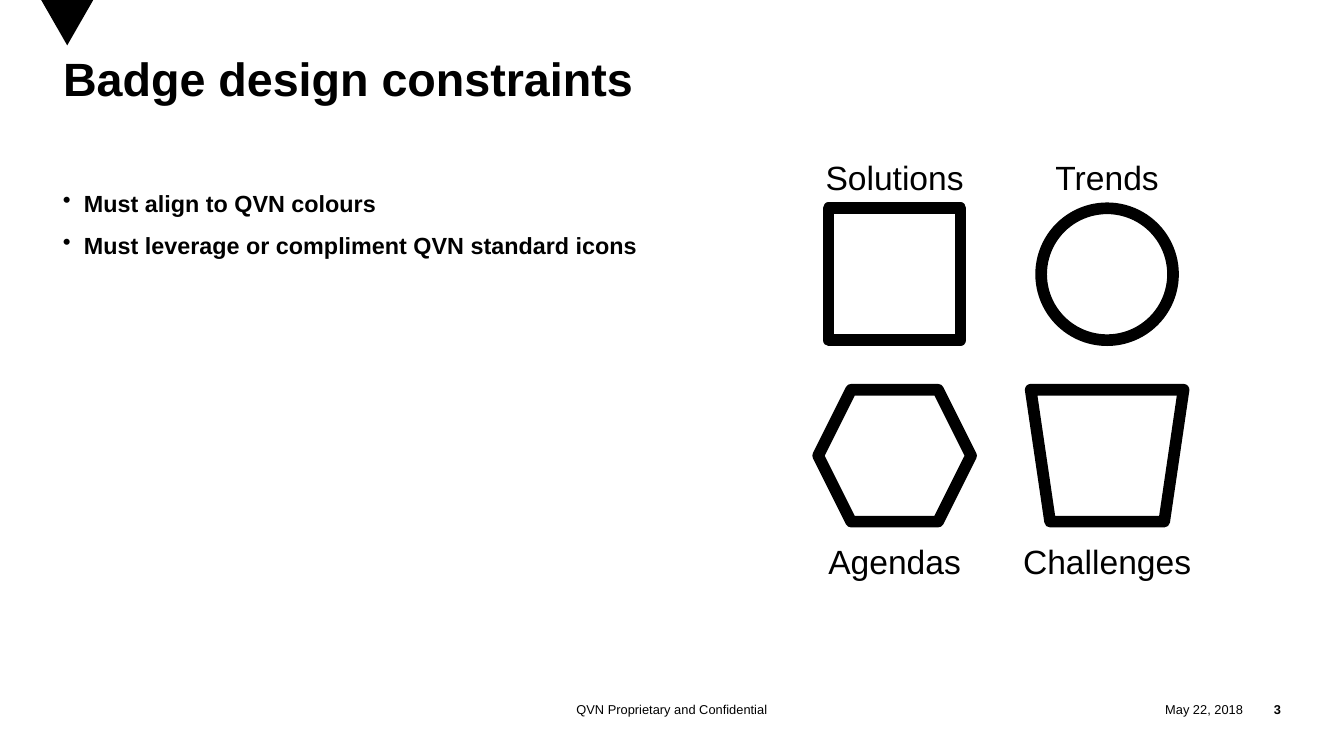
"""Build the badge design constraints slide."""
from lxml.etree import SubElement
from pptx import Presentation
from pptx.dml.color import RGBColor
from pptx.enum.shapes import MSO_SHAPE as Shape
from pptx.enum.text import MSO_ANCHOR as Anchor, MSO_AUTO_SIZE as AutoSize, PP_ALIGN as Align
from pptx.oxml.ns import qn
from pptx.util import Inches, Pt

COLORS = {"ink": "000000", "paper": "FFFFFF"}
FONT = "Arial"
TITLE = "Badge design constraints"
CONSTRAINTS = ["Must align to QVN colours", "Must leverage or compliment QVN standard icons"]
FOOTERS = [
    ("May 22, 2018", 13.01, 1.79, Align.RIGHT, False),
    ("3", 14.8, 0.45, Align.RIGHT, True),
    ("QVN Proprietary and Confidential", 5.25, 5.5, Align.CENTER, False),
]
BADGES = [
    ("Solutions", Shape.RECTANGLE, 1.57, 0, 0),
    ("Trends", Shape.OVAL, 1.57, 1, 0),
    ("Agendas", Shape.HEXAGON, 1.82, 0, 1),
    ("Challenges", Shape.TRAPEZOID, 1.82, 1, 1),
]
COLUMN_CENTERS = [10.65, 13.18]
BADGE_TOPS = [2.48, 4.64]
LABEL_TOPS = [1.82, 6.39]
BADGE_HEIGHT, LABEL_WIDTH, LABEL_HEIGHT = 1.57, 2.22, 0.59
MARKER = [(0.49, 0), (0.8, 0.54), (1.11, 0)]


def color(name):
    return RGBColor.from_string(COLORS[name])


def place(item, left, top, width, height):
    item.left, item.top, item.width, item.height = map(Inches, (left, top, width, height))


def write(box, lines, size, bold=False, align=Align.LEFT, anchor=Anchor.TOP,
          inset=0, wrap=True, spacing=None, before=0, bullet=False):
    frame = box.text_frame
    frame.auto_size = AutoSize.NONE
    frame.word_wrap = wrap
    frame.vertical_anchor = anchor
    frame.margin_left = frame.margin_right = Inches(inset)
    frame.margin_top = frame.margin_bottom = Inches(inset / 2)
    for index, line in enumerate(lines):
        para = frame.add_paragraph() if index else frame.paragraphs[0]
        para.alignment = align
        para.space_before = Pt(before)
        if spacing:
            para.line_spacing = spacing
        if bullet:
            properties = para._p.get_or_add_pPr()
            properties.set("marL", str(Inches(0.25)))
            properties.set("indent", str(-Inches(0.25)))
            SubElement(properties, qn("a:buChar")).set("char", "•")
        span = para.add_run()
        span.text = line
        span.font.name = FONT
        span.font.size = Pt(size)
        span.font.bold = bold
        span.font.color.rgb = color("ink")


def add_text(slide, lines, area, size, **style):
    box = slide.shapes.add_textbox(*map(Inches, area))
    write(box, lines, size, **style)


def add_marker(slide):
    points = [(Inches(x), Inches(y)) for x, y in MARKER]
    builder = slide.shapes.build_freeform(*points[0])
    builder.add_line_segments(points[1:], close=True)
    marker = builder.convert_to_shape()
    marker.shadow.inherit = False
    marker.fill.solid()
    marker.fill.fore_color.rgb = color("ink")
    marker.line.fill.background()


def add_badge(slide, label, kind, width, column, row):
    center = COLUMN_CENTERS[column]
    area = (center - width / 2, BADGE_TOPS[row], width, BADGE_HEIGHT)
    badge = slide.shapes.add_shape(kind, *map(Inches, area))
    badge.shadow.inherit = False
    badge.fill.solid()
    badge.fill.fore_color.rgb = color("paper")
    badge.line.color.rgb = color("ink")
    badge.line.width = Pt(10)
    SubElement(badge.line._get_or_add_ln(), qn("a:round"))
    if kind == Shape.TRAPEZOID:
        badge.adjustments[0] = 0.147
        badge.rotation = 180
    area = (center - LABEL_WIDTH / 2, LABEL_TOPS[row], LABEL_WIDTH, LABEL_HEIGHT)
    add_text(slide, [label], area, 28.8, align=Align.CENTER, inset=0.1, wrap=False)


def main():
    deck = Presentation()
    deck.slide_width, deck.slide_height = Inches(16), Inches(9)
    slide = deck.slides.add_slide(deck.slide_layouts[5])
    add_marker(slide)
    title = slide.shapes.title
    place(title, 0.75, 0.7, 14.5, 1.55)
    write(title, [TITLE], 40, bold=True, spacing=0.85)
    add_text(slide, CONSTRAINTS, (0.75, 2.25, 7.64, 5.6), 20, bold=True, before=12, bullet=True)
    for badge in BADGES:
        add_badge(slide, *badge)
    for text, left, width, align, bold in FOOTERS:
        add_text(slide, [text], (left, 8.29, width, 0.3), 11,
                 bold=bold, align=align, anchor=Anchor.MIDDLE)
    deck.save("out.pptx")


if __name__ == "__main__":
    main()
